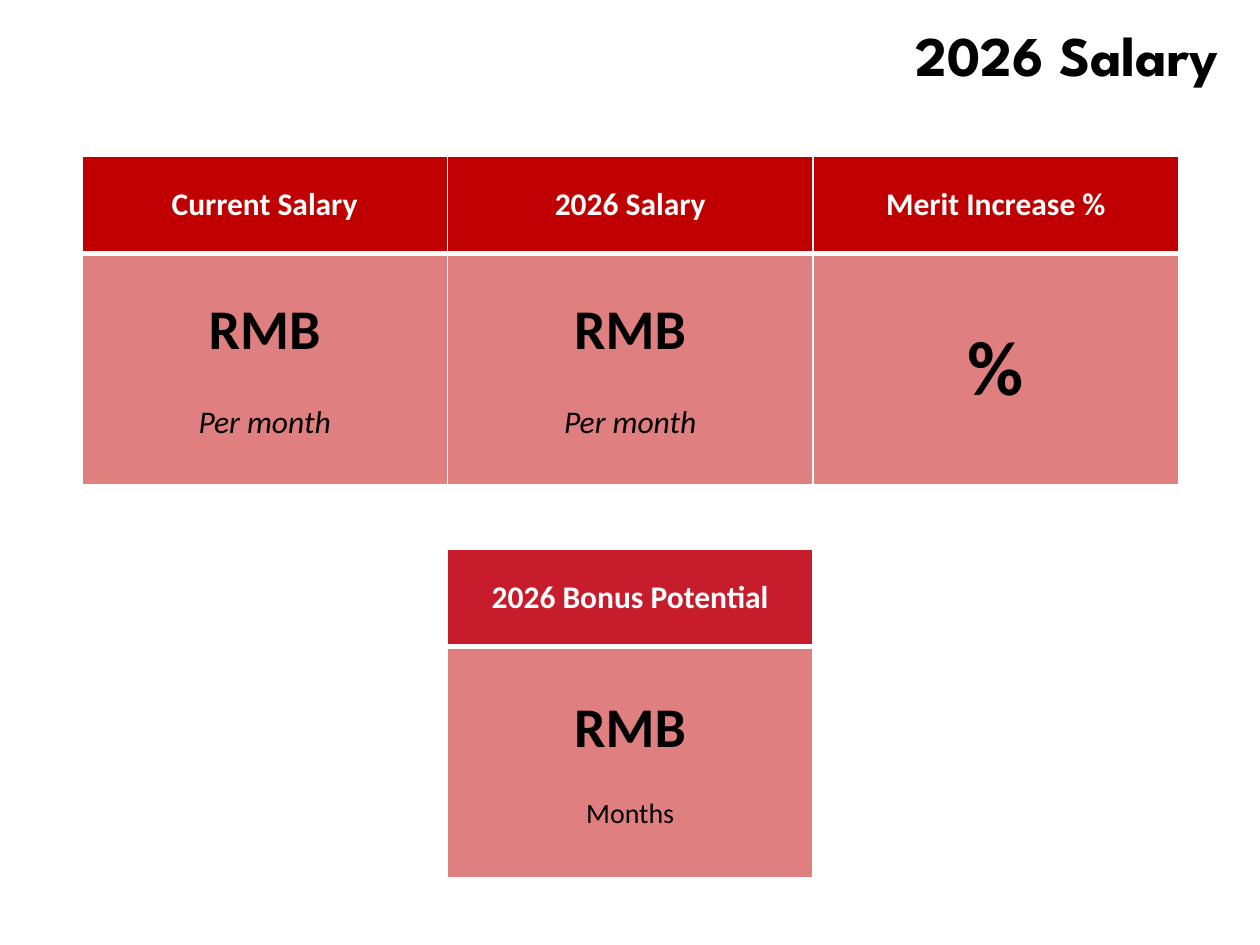
"""Build a salary review slide with a card for each pay figure."""
from pptx import Presentation
from pptx.dml.color import RGBColor
from pptx.enum.text import MSO_ANCHOR as Anchor, PP_ALIGN as Align
from pptx.oxml.xmlchemy import OxmlElement as Element
from pptx.util import Cm, Pt

RED, CRIMSON, PINK = "C00000", "C61C2B", "DF7F7F"
BLACK, WHITE = "000000", "FFFFFF"


def color(value):
    """Turn a hex string into a colour."""
    return RGBColor.from_string(value)


def write(paragraph, text, size=18, font="Calibri", ink=BLACK, bold=False,
          italic=False, align=Align.CENTER, before=0):
    """Fill a paragraph with one formatted run."""
    paragraph.alignment = align
    paragraph.space_before = Pt(before)
    run = paragraph.add_run()
    run.text = text
    run.font.name, run.font.size = font, Pt(size)
    run.font.bold, run.font.italic = bold, italic
    run.font.color.rgb = color(ink)


class SalarySlide:
    """Hold the card style and the slide being built."""

    card_width, header_height, body_height = 7.37, 1.96, 4.67

    def __init__(self, deck):
        """Add a slide that has only a title."""
        self.slide = deck.slides.add_slide(deck.slide_layouts[5])

    def title(self, text):
        """Place the heading at the top right."""
        heading = self.slide.shapes.title
        heading.left, heading.top = Cm(8.92), Cm(0.28)
        heading.width, heading.height = Cm(15.9), Cm(2.82)
        heading.text_frame.vertical_anchor = Anchor.TOP
        write(heading.text_frame.paragraphs[0], text, size=32,
              font="League Spartan", bold=True, align=Align.RIGHT)

    def cell(self, cell, fill, alpha=None, **edges):
        """Give a cell its white borders, fill and anchor."""
        properties = cell._tc.get_or_add_tcPr()
        for side in "LRTB":
            line = Element(f"a:ln{side}")
            line.set("w", str(Pt(edges.get(side, 1))))
            solid, shade = Element("a:solidFill"), Element("a:srgbClr")
            shade.set("val", WHITE)
            solid.append(shade)
            line.append(solid)
            properties.append(line)
        cell.fill.solid()
        cell.fill.fore_color.rgb = color(fill)
        if alpha:
            opacity = Element("a:alpha")
            opacity.set("val", str(alpha * 1000))
            properties.find("{*}solidFill/{*}srgbClr").append(opacity)
        cell.vertical_anchor = Anchor.MIDDLE

    def card(self, column, top, heading, amount, amount_size=32, unit=None,
             unit_size=18, italic=True, header_fill=RED, body_fill=RED, alpha=50):
        """Draw a two-row table with a heading over an amount."""
        left = 1.65 + column * self.card_width
        table = self.slide.shapes.add_table(
            2, 1, Cm(left), Cm(top), Cm(self.card_width),
            Cm(self.header_height + self.body_height)).table
        table.rows[0].height = Cm(self.header_height)
        table.rows[1].height = Cm(self.body_height)
        header, body = table.cell(0, 0), table.cell(1, 0)
        self.cell(header, header_fill, B=3)
        self.cell(body, body_fill, alpha, T=3)
        write(header.text_frame.paragraphs[0], heading, ink=WHITE, bold=True)
        write(body.text_frame.paragraphs[0], amount, size=amount_size, bold=True)
        if unit:
            write(body.text_frame.add_paragraph(), unit, size=unit_size,
                  italic=italic, before=unit_size * 1.22)


def main():
    """Build and save the deck."""
    deck = Presentation()
    deck.slide_width, deck.slide_height = Cm(25.4), Cm(19.05)
    salary = SalarySlide(deck)
    salary.title("2026 Salary")
    for column, heading in enumerate(["Current Salary", "2026 Salary"]):
        salary.card(column, 3.15, heading, "RMB", unit="Per month")
    salary.card(2, 3.15, "Merit Increase %", "%", amount_size=44)
    salary.card(1, 11.07, "2026 Bonus Potential", "RMB", unit="Months",
                unit_size=16, italic=False, header_fill=CRIMSON,
                body_fill=PINK, alpha=None)
    deck.save("out.pptx")


if __name__ == "__main__":
    main()
